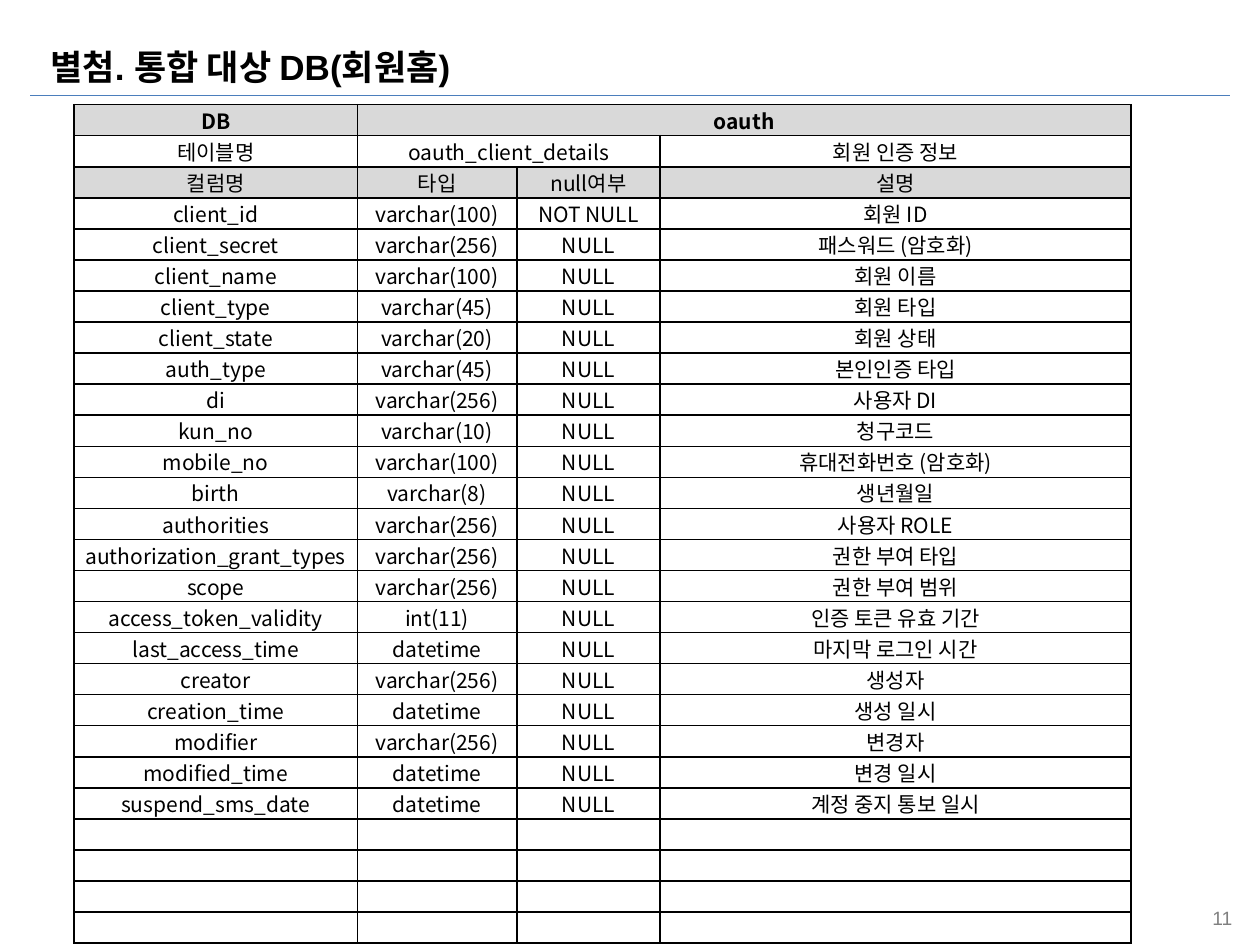
"""Build the slide that lists the columns of the oauth client table."""
import pptx
import pptx.dml.color
import pptx.enum.shapes
import pptx.enum.text
import pptx.oxml
import pptx.oxml.ns
import pptx.util

Pt = pptx.util.Pt
ALIGN = pptx.enum.text.PP_ALIGN
MIDDLE = pptx.enum.text.MSO_ANCHOR.MIDDLE
LATIN, KOREAN = "Arial", "Noto Sans CJK KR"
BLACK, GREY, SHADE, RULE = "000000", "808080", "D9D9D9", "4B7EBC"
COLUMN_WIDTHS = [161.8, 91.2, 81.8, 269.2]
ROW_COUNT, ROW_HEIGHT = 27, 17.77
SHADED_ROWS = (0, 2)
CELL_FORMAT = {
    "margin_left": 0, "margin_right": 0, "margin_top": 0, "margin_bottom": 0,
    "vertical_anchor": MIDDLE,
}
HEADINGS = [
    ("DB", "oauth", "", ""),
    ("테이블명", "oauth_client_details", "", "회원 인증 정보"),
    ("컬럼명", "타입", "null여부", "설명"),
]
FIELDS = [
    ("client_id", "varchar(100)", "회원 ID"),
    ("client_secret", "varchar(256)", "패스워드 (암호화)"),
    ("client_name", "varchar(100)", "회원 이름"),
    ("client_type", "varchar(45)", "회원 타입"),
    ("client_state", "varchar(20)", "회원 상태"),
    ("auth_type", "varchar(45)", "본인인증 타입"),
    ("di", "varchar(256)", "사용자 DI"),
    ("kun_no", "varchar(10)", "청구코드"),
    ("mobile_no", "varchar(100)", "휴대전화번호 (암호화)"),
    ("birth", "varchar(8)", "생년월일"),
    ("authorities", "varchar(256)", "사용자 ROLE"),
    ("authorization_grant_types", "varchar(256)", "권한 부여 타입"),
    ("scope", "varchar(256)", "권한 부여 범위"),
    ("access_token_validity", "int(11)", "인증 토큰 유효 기간"),
    ("last_access_time", "datetime", "마지막 로그인 시간"),
    ("creator", "varchar(256)", "생성자"),
    ("creation_time", "datetime", "생성 일시"),
    ("modifier", "varchar(256)", "변경자"),
    ("modified_time", "datetime", "변경 일시"),
    ("suspend_sms_date", "datetime", "계정 중지 통보 일시"),
]


def color(value):
    """Return the colour for a hex string."""
    return pptx.dml.color.RGBColor.from_string(value)


def apply(target, values):
    """Set each attribute of the target from a dict of values."""
    for name, value in values.items():
        setattr(target, name, value)


def place(box, left, top, width, height):
    """Move and size a box in points."""
    sides = {"left": left, "top": top, "width": width, "height": height}
    apply(box, {name: Pt(value) for name, value in sides.items()})


def write(para, text, align, hue, **font):
    """Write one formatted span into a paragraph."""
    para.alignment = align
    span = para.add_run()
    span.text = text
    apply(span.font, font)
    span.font.color.rgb = color(hue)
    east_asian = pptx.oxml.parse_xml(
        f'<a:ea {pptx.oxml.ns.nsdecls("a")} typeface="{KOREAN}"/>')
    span.font._element.find(pptx.oxml.ns.qn("a:latin")).addnext(east_asian)


def add_title(page, text):
    """Format the title placeholder."""
    box = page.shapes.title
    place(box, 21.6, 20.9, 690.5, 33.8)
    apply(box.text_frame, {"vertical_anchor": MIDDLE, "word_wrap": True})
    write(box.text_frame.paragraphs[0], text, ALIGN.LEFT, BLACK,
          name=LATIN, size=Pt(20), bold=True)


def add_rule(page):
    """Draw the line under the title."""
    line = page.shapes.add_connector(
        pptx.enum.shapes.MSO_CONNECTOR.STRAIGHT,
        Pt(17.3), Pt(54.7), Pt(702.7), Pt(54.7))
    line.line.color.rgb = color(RULE)
    line.line.width = Pt(0.75)
    line._element.spPr.append(pptx.oxml.parse_xml(
        f'<a:effectLst {pptx.oxml.ns.nsdecls("a")}/>'))


def add_page_number(page, text):
    """Add the page number at the lower right."""
    box = page.shapes.add_textbox(Pt(533.5), Pt(514.1), Pt(177.8), Pt(20.9))
    box.text_frame.word_wrap = True
    write(box.text_frame.paragraphs[0], text, ALIGN.RIGHT, GREY,
          name=LATIN, size=Pt(11))


def add_borders(cell):
    """Give a cell a thin black line on every side."""
    properties = cell._tc.get_or_add_tcPr()
    for side in "LRTB":
        properties.append(pptx.oxml.parse_xml(
            f'<a:ln{side} {pptx.oxml.ns.nsdecls("a")} w="{Pt(1)}">'
            f'<a:solidFill><a:srgbClr val="{BLACK}"/></a:solidFill>'
            f'</a:ln{side}>'))


def fill_cell(cell, text, shaded, bold):
    """Format a cell and write its text."""
    apply(cell, CELL_FORMAT)
    add_borders(cell)
    if shaded:
        cell.fill.solid()
        cell.fill.fore_color.rgb = color(SHADE)
    else:
        cell.fill.background()
    para = cell.text_frame.paragraphs[0]
    if text:
        write(para, text, ALIGN.CENTER, BLACK,
              name=KOREAN, size=Pt(12), bold=bold)
    else:
        para._p.append(pptx.oxml.parse_xml(
            f'<a:endParaRPr {pptx.oxml.ns.nsdecls("a")} sz="1200"/>'))


def add_column_table(page):
    """Add the table of columns, with blank rows at its end."""
    rows = HEADINGS + [
        (name, kind, "NULL" if index else "NOT NULL", meaning)
        for index, (name, kind, meaning) in enumerate(FIELDS)]
    rows += [("",) * len(COLUMN_WIDTHS)] * (ROW_COUNT - len(rows))
    table = page.shapes.add_table(
        ROW_COUNT, len(COLUMN_WIDTHS), Pt(42.4), Pt(59.8),
        Pt(sum(COLUMN_WIDTHS)), Pt(ROW_COUNT * ROW_HEIGHT)).table
    apply(table, {"first_row": False, "horz_banding": False})
    for column, width in zip(table.columns, COLUMN_WIDTHS):
        column.width = Pt(width)
    for index, texts in enumerate(rows):
        table.rows[index].height = Pt(ROW_HEIGHT)
        for cell, text in zip(table.rows[index].cells, texts):
            fill_cell(cell, text, index in SHADED_ROWS, index == 0)
    table.cell(0, 1).merge(table.cell(0, 3))
    table.cell(1, 1).merge(table.cell(1, 2))


def main():
    """Build and save the deck."""
    deck = pptx.Presentation()
    apply(deck, {"slide_width": Pt(720), "slide_height": Pt(540)})
    page = deck.slides.add_slide(deck.slide_layouts[5])
    add_page_number(page, "11")
    add_rule(page)
    add_title(page, "별첨. 통합 대상 DB(회원홈)")
    add_column_table(page)
    deck.save("out.pptx")


if __name__ == "__main__":
    main()
